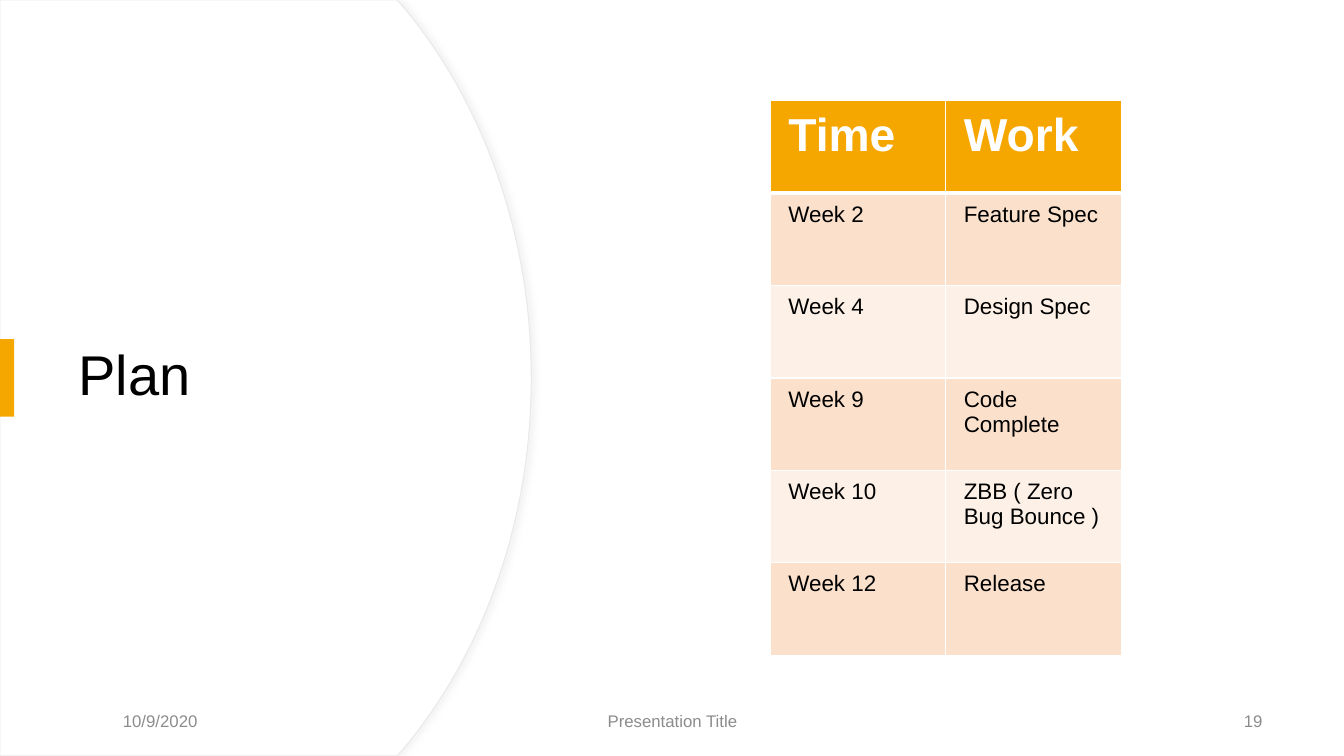
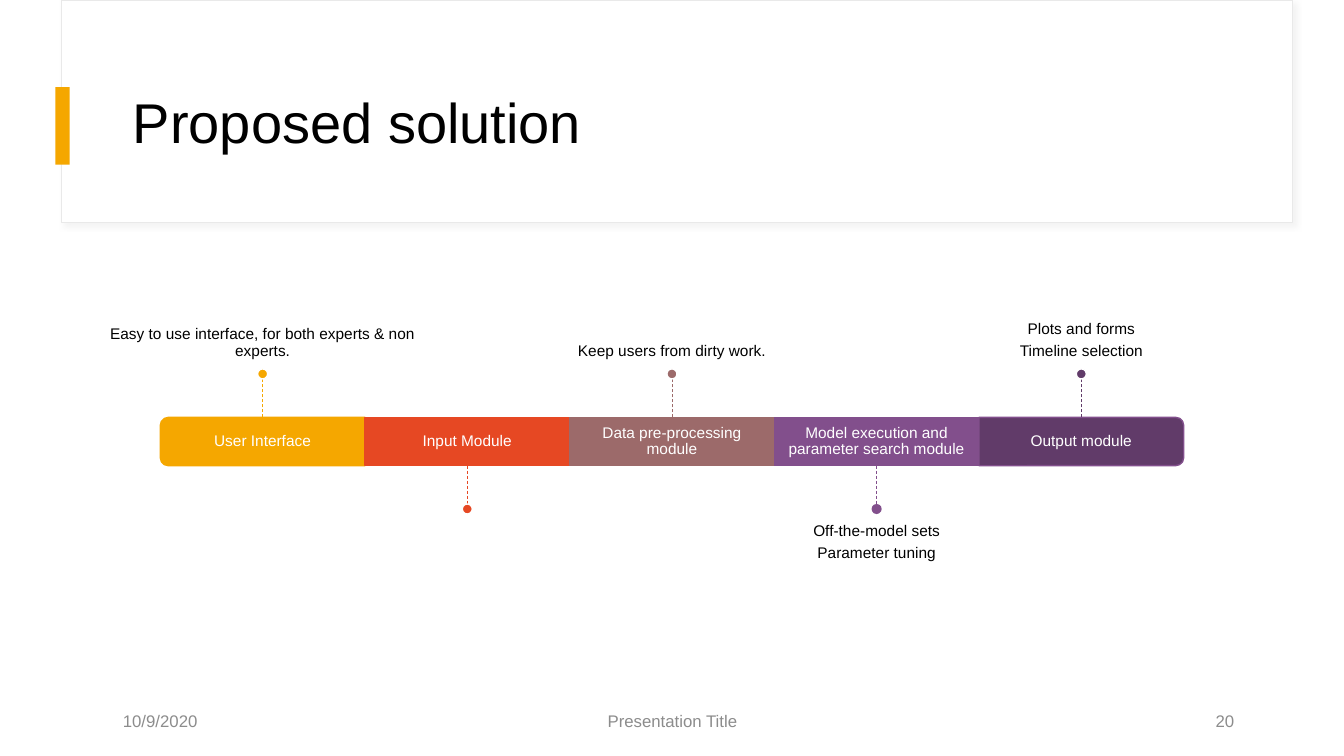
from lxml import etree
from pptx import Presentation
from pptx.dml.color import RGBColor
from pptx.enum import dml, shapes, text
from pptx.oxml import ns
from pptx.util import Inches, Pt

FONT = "Arial"
COLORS = {
    "white": "FFFFFF", "black": "000000", "footer": "8C8C8C", "outline": "E9E9E9",
    "shadow": "D9D9D9", "accent": "F5A700", "band dark": "FBE1CC", "band light": "FDF1E7",
    "red": "E64823", "brown": "9C6A6A", "purple": "824F8C", "plum": "613B69",
}

# Content
DATE, FOOTER = "10/9/2020", "Presentation Title"
PLAN = [
    ("Time", "Work"),
    ("Week 2", "Feature Spec"),
    ("Week 4", "Design Spec"),
    ("Week 9", "Code Complete"),
    ("Week 10", "ZBB ( Zero Bug Bounce )"),
    ("Week 12", "Release"),
]
# Module name, fill, outline, dot outline, notes
MODULES = [
    ("User Interface", "accent", "accent", "white",
     ["Easy to use interface, for both experts & non experts."]),
    ("Input Module", "red", "red", "white", []),
    ("Data pre-processing module", "brown", "brown", "white", ["Keep users from dirty work."]),
    ("Model execution and parameter search module", "purple", "purple", None,
     ["Off-the-model sets", "Parameter tuning"]),
    ("Output module", "plum", "purple", "white", ["Plots and forms", "Timeline selection"]),
]

ALIGN, ANCHOR, SHAPE = text.PP_ALIGN, text.MSO_ANCHOR, shapes.MSO_SHAPE


def rgb(name):
    return RGBColor.from_string(COLORS[name])


# Shared drawing helpers
def paint(shape, fill, line=None, width=1):
    shape.shadow.inherit = False
    shape.fill.solid()
    shape.fill.fore_color.rgb = rgb(fill)
    if line:
        shape.line.color.rgb = rgb(line)
        shape.line.width = Pt(width)
    else:
        shape.line.fill.background()
    return shape


def add_shape(page, kind, left, top, width, height, fill, line=None, width_pt=1):
    shape = page.shapes.add_shape(kind, Inches(left), Inches(top), Inches(width), Inches(height))
    return paint(shape, fill, line, width_pt)


def add_soft_shadow(shape, degrees):
    effects = shape._element.spPr.find(ns.qn("a:effectLst"))
    shadow = etree.SubElement(effects, ns.qn("a:outerShdw"), blurRad=str(Pt(4)),
                              dist=str(Pt(3)), dir=str(degrees * 60000))
    color = etree.SubElement(shadow, ns.qn("a:srgbClr"), val=COLORS["shadow"])
    etree.SubElement(color, ns.qn("a:alpha"), val="30000")


def write(frame, lines, size, color, align=ALIGN.LEFT, anchor=ANCHOR.MIDDLE,
          margins=(0.1, 0.05, 0.1, 0.05), spacing=None):
    frame.word_wrap = True
    frame.vertical_anchor = anchor
    (frame.margin_left, frame.margin_top,
     frame.margin_right, frame.margin_bottom) = map(Inches, margins)
    for index, line in enumerate(lines):
        para = frame.paragraphs[0] if index == 0 else frame.add_paragraph()
        para.text = line
        para.alignment = align
        para.line_spacing = spacing
        if index:
            para.space_before = Pt(4)
        para.font.name, para.font.size = FONT, Pt(size)
        para.font.color.rgb = rgb(color)


def add_text(page, left, top, width, height, lines, size, color, **style):
    box = page.shapes.add_textbox(Inches(left), Inches(top), Inches(width), Inches(height))
    write(box.text_frame, lines, size, color, **style)


def add_title(page, title, left, top, width, height, bar_left):
    add_text(page, left, top, width, height, [title], 40, "black", spacing=0.9)
    add_shape(page, SHAPE.RECTANGLE, bar_left, top + height / 2 - 0.38, 0.14, 0.77, "accent")


def add_footer(page, number, number_left):
    for words, left, width, align in [
        (DATE, 1.12, 1.4, ALIGN.LEFT),
        (FOOTER, 4.42, 4.5, ALIGN.CENTER),
        (number, number_left, 3, ALIGN.RIGHT),
    ]:
        add_text(page, left, 6.95, width, 0.4, [words], 12, "footer", align=align)


# Plan slide
def bezier(start, control1, control2, end, steps=30):
    for step in range(1, steps + 1):
        t = step / steps
        yield tuple((1 - t) ** 3 * a + 3 * (1 - t) ** 2 * t * b + 3 * (1 - t) * t ** 2 * c
                    + t ** 3 * d for a, b, c, d in zip(start, control1, control2, end))


def add_round_panel(page):
    points = [(3.94, 0), (4.01, 0.08)]
    points += bezier(points[-1], (4.79, 1.02), (5.27, 2.32), (5.27, 3.75))
    points += [(x, 7.5 - y) for x, y in points[-2::-1]]
    points.append((0, 7.5))
    builder = page.shapes.build_freeform(0, 0)
    builder.add_line_segments([(Inches(x), Inches(y)) for x, y in points], close=True)
    add_soft_shadow(paint(builder.convert_to_shape(), "white", "outline", 0.75), 0)


def set_borders(cell, bottom):
    properties = cell._tc.get_or_add_tcPr()
    for index, side in enumerate(["lnL", "lnR", "lnT", "lnB"]):
        width = bottom if side == "lnB" else 1
        line = etree.Element(ns.qn("a:" + side), w=str(Pt(width)))
        fill = etree.SubElement(line, ns.qn("a:solidFill"))
        etree.SubElement(fill, ns.qn("a:srgbClr"), val=COLORS["white"])
        properties.insert(index, line)


def add_plan_table(page):
    table = page.shapes.add_table(len(PLAN), 2, Inches(7.64), Inches(1),
                                  Inches(3.48), Inches(5.5)).table
    for row_index, row in enumerate(PLAN):
        header = row_index == 0
        band = "accent" if header else "band dark" if row_index % 2 else "band light"
        for column_index, words in enumerate(row):
            cell = table.cell(row_index, column_index)
            cell.fill.solid()
            cell.fill.fore_color.rgb = rgb(band)
            set_borders(cell, 3 if header else 1)
            frame = cell.text_frame
            write(frame, [words], 33 if header else 16, "white" if header else "black")
            frame.paragraphs[0].font.bold = header
            cell.vertical_anchor = ANCHOR.TOP
            cell.margin_left = cell.margin_right = Inches(0.18)
            cell.margin_top = cell.margin_bottom = Inches(0.09)


def build_plan(page):
    add_round_panel(page)
    add_title(page, "Plan", 0.68, 1.27, 3.94, 4.95, bar_left=0)
    add_plan_table(page)
    add_footer(page, "19", 9.62)


# Proposed solution slide
BAR_LEFT, BAR_TOP, BAR_WIDTH, BAR_HEIGHT = 1.59, 4.14, 2.03, 0.48
STEM, DOT, NOTE_WIDTH, NOTE_HEIGHT = 0.38, 0.1, 3.38, 1.67


def add_module_bar(page, index, name, fill, line):
    left = BAR_LEFT + index * BAR_WIDTH
    area = (left, BAR_TOP, BAR_WIDTH, BAR_HEIGHT)
    style = dict(align=ALIGN.CENTER, margins=(0.09,) * 4, spacing=0.9)
    if 0 < index < len(MODULES) - 1:
        bar = add_shape(page, SHAPE.RECTANGLE, *area, fill, line)
        write(bar.text_frame, [name], 11, "white", **style)
        return
    # End bars are turned on their side, so their labels stand apart
    shift = (BAR_WIDTH - BAR_HEIGHT) / 2
    bar = add_shape(page, SHAPE.ROUND_2_SAME_RECTANGLE, left + shift, BAR_TOP - shift,
                    BAR_HEIGHT, BAR_WIDTH, fill, line)
    bar.rotation = 270 if index == 0 else 90
    add_text(page, *area, [name], 11, "white", **style)


def add_callout(page, index, color, dot_line, notes):
    center = BAR_LEFT + (index + 0.5) * BAR_WIDTH
    above = index % 2 == 0
    start = BAR_TOP if above else BAR_TOP + BAR_HEIGHT
    end = start - STEM if above else start + STEM
    stem = page.shapes.add_connector(shapes.MSO_CONNECTOR.STRAIGHT, Inches(center),
                                     Inches(start), Inches(center), Inches(end))
    stem.line.color.rgb = rgb(color)
    stem.line.width = Pt(0.5)
    stem.line.dash_style = dml.MSO_LINE.DASH
    etree.SubElement(stem._element.spPr, ns.qn("a:effectLst"))

    dot_top = end - DOT if above else end
    add_shape(page, SHAPE.OVAL, center - DOT / 2, dot_top, DOT, DOT, color, dot_line)
    if notes:
        note_top = dot_top - NOTE_HEIGHT if above else dot_top + DOT
        add_text(page, center - NOTE_WIDTH / 2, note_top, NOTE_WIDTH, NOTE_HEIGHT,
                 notes, 11, "black", align=ALIGN.CENTER, spacing=0.9,
                 anchor=ANCHOR.BOTTOM if above else ANCHOR.TOP,
                 margins=(0, 0, 0, 0.09) if above else (0, 0.09, 0, 0))


def build_solution(page):
    panel = add_shape(page, SHAPE.RECTANGLE, 0.61, 0, 12.21, 2.21, "white", "outline", 0.75)
    add_soft_shadow(panel, 45)
    add_title(page, "Proposed solution", 1.22, 0.6, 11.12, 1.29, bar_left=0.55)
    for index, (name, fill, line, dot_line, notes) in enumerate(MODULES):
        add_module_bar(page, index, name, fill, line)
        add_callout(page, index, fill, dot_line, notes)
    add_footer(page, "20", 9.34)


def main():
    deck = Presentation()
    deck.slide_width, deck.slide_height = Inches(13.33), Inches(7.5)
    for build in (build_plan, build_solution):
        build(deck.slides.add_slide(deck.slide_layouts[6]))
    deck.save("out.pptx")


if __name__ == "__main__":
    main()
